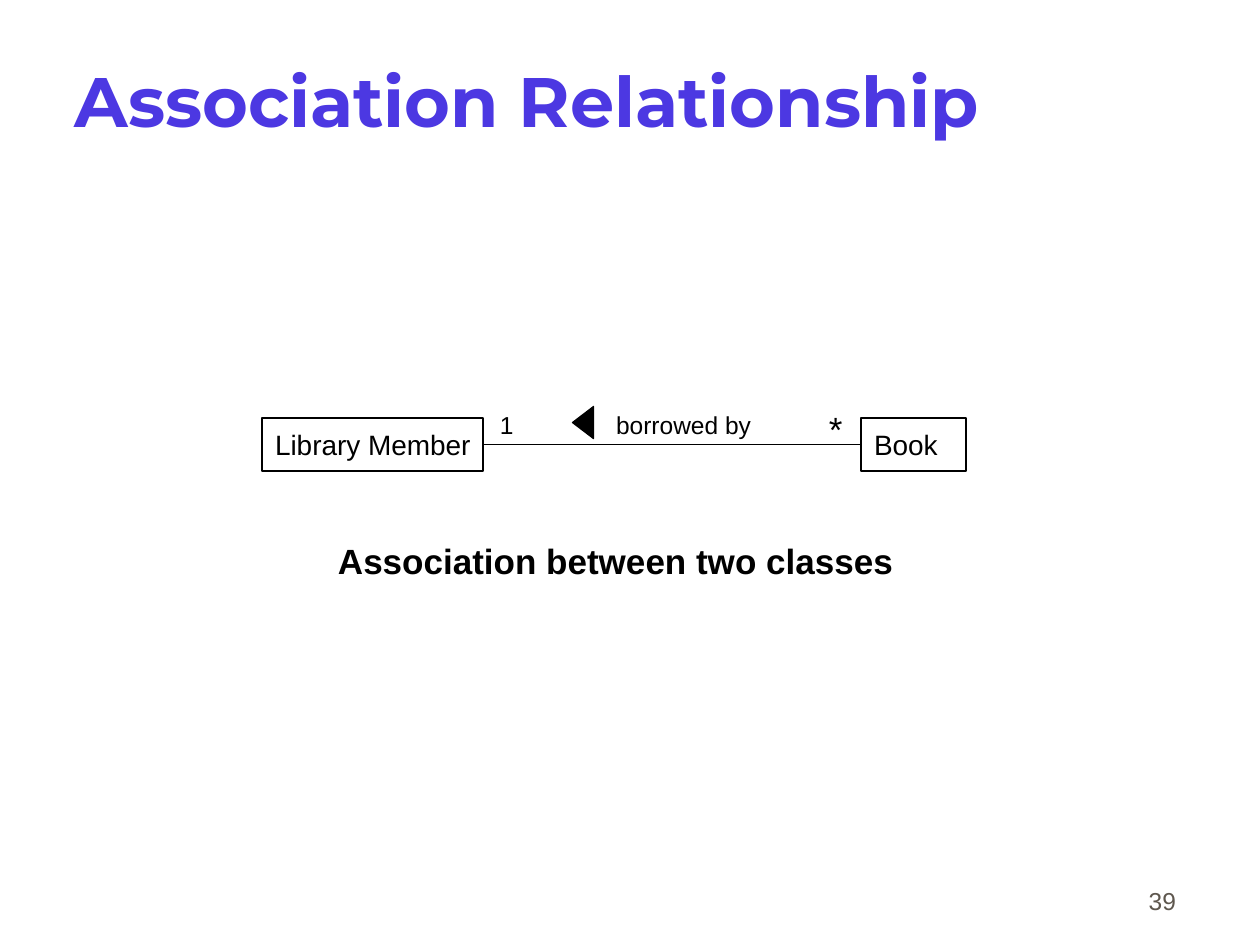
"""Build the Association Relationship slide: two linked classes with a caption."""
import pptx
import pptx.dml.color
import pptx.enum.shapes
import pptx.enum.text
import pptx.oxml
import pptx.oxml.ns
import pptx.util

RGBColor = pptx.dml.color.RGBColor
Shape = pptx.enum.shapes.MSO_SHAPE
Anchor = pptx.enum.text.MSO_ANCHOR
Align = pptx.enum.text.PP_ALIGN

VIOLET = RGBColor(0x4C, 0x38, 0xE2)
BLACK = RGBColor(0, 0, 0)
GREY = RGBColor(0x5E, 0x57, 0x4E)

TITLE = "Association Relationship"
CAPTION = "Association between two classes"
PAGE_NUMBER = "39"
CLASSES = [("Library Member", 262, 221), ("Book", 861, 105)]
CLASS_TOP, CLASS_HEIGHT = 418, 53
LABELS = [
    ("1", (500, 410, 14, 29), 14),
    ("*", (829, 407, 14, 42), 20),
    ("borrowed by", (616, 410, 135, 29), 14),
]
DIRECTION_MARK = (567, 412, 32, 21)
PX_PER_INCH = 126


def px(length):
    return pptx.util.Emu(round(length * 914400 / PX_PER_INCH))


def place(box):
    return [px(length) for length in box]


def write(shape, text, size, color=BLACK, bold=False, font="Arial",
          anchor=Anchor.TOP, align=Align.LEFT, margins=(13, 6), wrap=False):
    frame = shape.text_frame
    frame.text = text
    frame.word_wrap = wrap
    frame.auto_size = pptx.enum.text.MSO_AUTO_SIZE.NONE
    frame.vertical_anchor = anchor
    frame.margin_left = frame.margin_right = px(margins[0])
    frame.margin_top = frame.margin_bottom = px(margins[1])
    paragraph = frame.paragraphs[0]
    paragraph.alignment = align
    paragraph.font.name = font
    paragraph.font.size = pptx.util.Pt(size)
    paragraph.font.bold = bold
    paragraph.font.color.rgb = color
    return paragraph


def outline(shape):
    shape.line.color.rgb = BLACK
    shape.line.width = pptx.util.Pt(0.75)


def main():
    deck = pptx.Presentation()
    deck.slide_width, deck.slide_height = px(1260), px(945)
    slide = deck.slides.add_slide(deck.slide_layouts[5])
    shapes = slide.shapes

    title = shapes.title
    title.left, title.top, title.width, title.height = place((53, 21, 1071, 158))
    heading = write(title, TITLE, 40, VIOLET, True, "Montserrat",
                    Anchor.MIDDLE, margins=(22, 6), wrap=True)
    heading.space_before = pptx.util.Pt(13.6)

    number = shapes.add_textbox(*place((927, 858, 262, 63)))
    write(number, PAGE_NUMBER, 14, GREY, anchor=Anchor.BOTTOM,
          align=Align.RIGHT, wrap=True)

    caption = shapes.add_textbox(*place((325, 533, 581, 55)))
    write(caption, CAPTION, 20, bold=True)

    for name, left, width in CLASSES:
        class_box = shapes.add_shape(
            Shape.RECTANGLE, *place((left, CLASS_TOP, width, CLASS_HEIGHT)))
        class_box.shadow.inherit = False
        class_box.fill.background()
        outline(class_box)
        write(class_box, name, 16, anchor=Anchor.MIDDLE)

    (_, member_left, member_width), (_, book_left, _) = CLASSES
    middle = CLASS_TOP + CLASS_HEIGHT / 2
    association = shapes.add_connector(
        pptx.enum.shapes.MSO_CONNECTOR.STRAIGHT,
        *place((member_left + member_width, middle, book_left, middle)))
    outline(association)
    association._element.spPr.append(
        pptx.oxml.parse_xml(f"<a:effectLst {pptx.oxml.ns.nsdecls('a')}/>"))

    direction = shapes.add_shape(Shape.ISOSCELES_TRIANGLE, *place(DIRECTION_MARK))
    direction.rotation = 270
    direction.shadow.inherit = False
    direction.fill.solid()
    direction.fill.fore_color.rgb = BLACK
    outline(direction)

    for text, box, size in LABELS:
        write(shapes.add_textbox(*place(box)), text, size, margins=(0, 0))

    deck.save("out.pptx")


if __name__ == "__main__":
    main()
